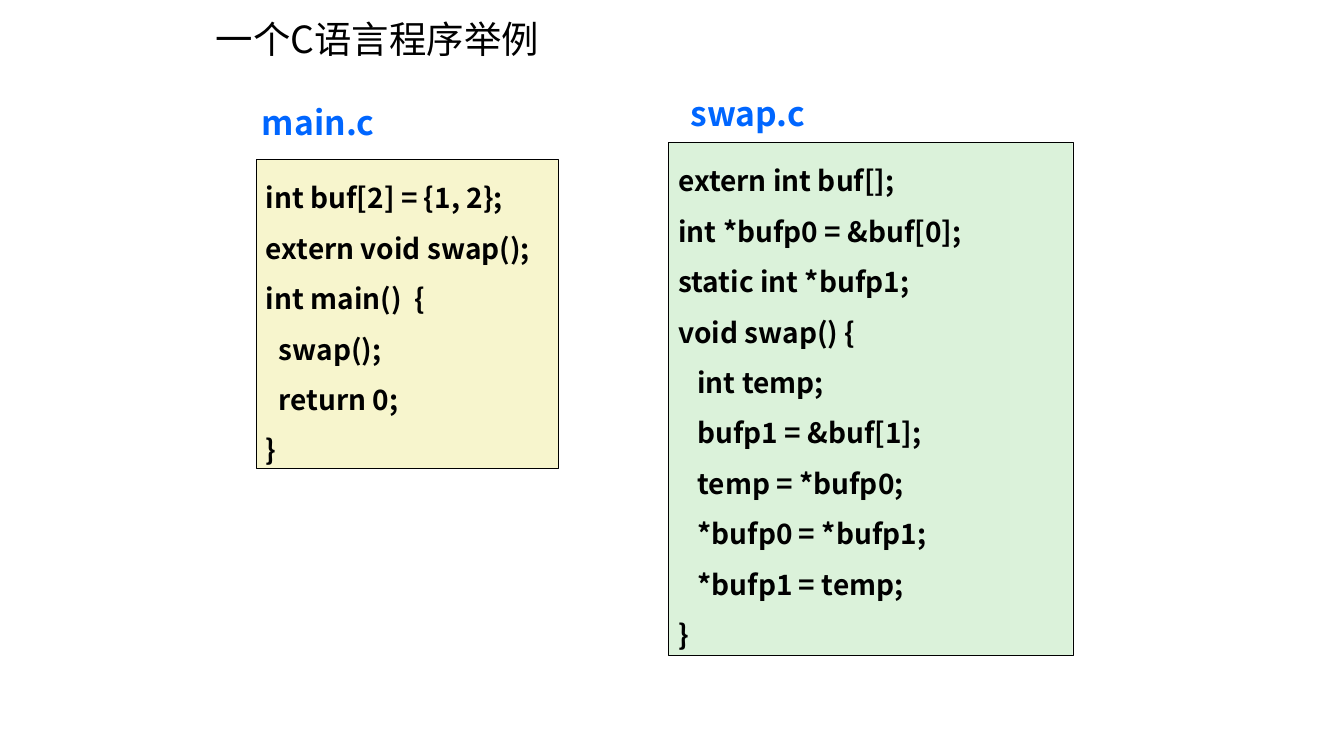
import pptx
import pptx.dml.color
import pptx.enum.shapes
import pptx.enum.text
import pptx.oxml.ns
import pptx.util
from lxml import etree

PX = 9144  # 100 px to the inch
THEME = {
    "font": "Noto Sans CJK SC",
    "ink": "000000", "label": "0066FF", "paper": "FFFFFF",
    "main": "F7F5CD", "swap": "DBF2DA",
    "title_size": 26.7, "label_size": 24, "code_size": 20,
}


def rgb(name):
    return pptx.dml.color.RGBColor.from_string(THEME[name])


def write(sp, lines, size, color, spacing=1.0, bold=True):
    """Fill a shape with one left-aligned paragraph per line."""
    tf = sp.text_frame
    tf.text = "\n".join(lines)
    for p in tf.paragraphs:
        p.alignment = pptx.enum.text.PP_ALIGN.LEFT
        p.line_spacing = spacing
        p.font.name = THEME["font"]
        p.font.size = pptx.util.Pt(THEME[size])
        p.font.bold = bold
        p.font.color.rgb = rgb(color)
        # East Asian typeface
        props = p._p.pPr.find(pptx.oxml.ns.qn("a:defRPr"))
        etree.SubElement(props, pptx.oxml.ns.qn("a:ea"), typeface=THEME["font"])
    return tf


prs = pptx.Presentation()
prs.slide_width, prs.slide_height = 1333 * PX, 750 * PX
s = prs.slides.add_slide(prs.slide_layouts[6])

# Title
title = s.shapes.add_textbox(204 * PX, 0, 830 * PX, 83 * PX)
tf = write(title, ["一个C语言程序举例"], "title_size", "ink", 0.9, False)
tf.word_wrap = True
tf.vertical_anchor = pptx.enum.text.MSO_ANCHOR.MIDDLE

# Source files: name, label box, code box, code
main_code = [
    "int buf[2] = {1, 2};",
    "extern void swap();",
    "int main()  {",
    "  swap();",
    "  return 0;",
    "}",
]
swap_code = [
    "extern int buf[];",
    "int *bufp0 = &buf[0];",
    "static int *bufp1;",
    "void swap() {",
    "   int temp;",
    "   bufp1 = &buf[1];",
    "   temp = *bufp0;",
    "   *bufp0 = *bufp1;",
    "   *bufp1 = temp;",
    "}",
]
files = [
    ("main", (250, 96, 132, 50), (254, 158, 300, 307), main_code),
    ("swap", (675, 87, 134, 50), (663, 141, 401, 509), swap_code),
]

for name, label_box, code_box, code in files:
    parts = [
        (label_box, None, "paper", [name + ".c"], "label_size", "label", 1.0),
        (code_box, name, "ink", code, "code_size", "ink", 1.5),
    ]
    for box, fill, line, lines, size, color, spacing in parts:
        sp = s.shapes.add_shape(pptx.enum.shapes.MSO_SHAPE.RECTANGLE,
                                *(v * PX for v in box))
        sp.shadow.inherit = False
        if fill:
            sp.fill.solid()
            sp.fill.fore_color.rgb = rgb(fill)
        else:
            sp.fill.background()
        sp.line.color.rgb = rgb(line)
        sp.line.width = pptx.util.Pt(0.25)
        tf = write(sp, lines, size, color, spacing)
        tf.word_wrap = fill is not None
        tf.auto_size = pptx.enum.text.MSO_AUTO_SIZE.SHAPE_TO_FIT_TEXT
        tf.vertical_anchor = pptx.enum.text.MSO_ANCHOR.TOP

prs.save("out.pptx")
